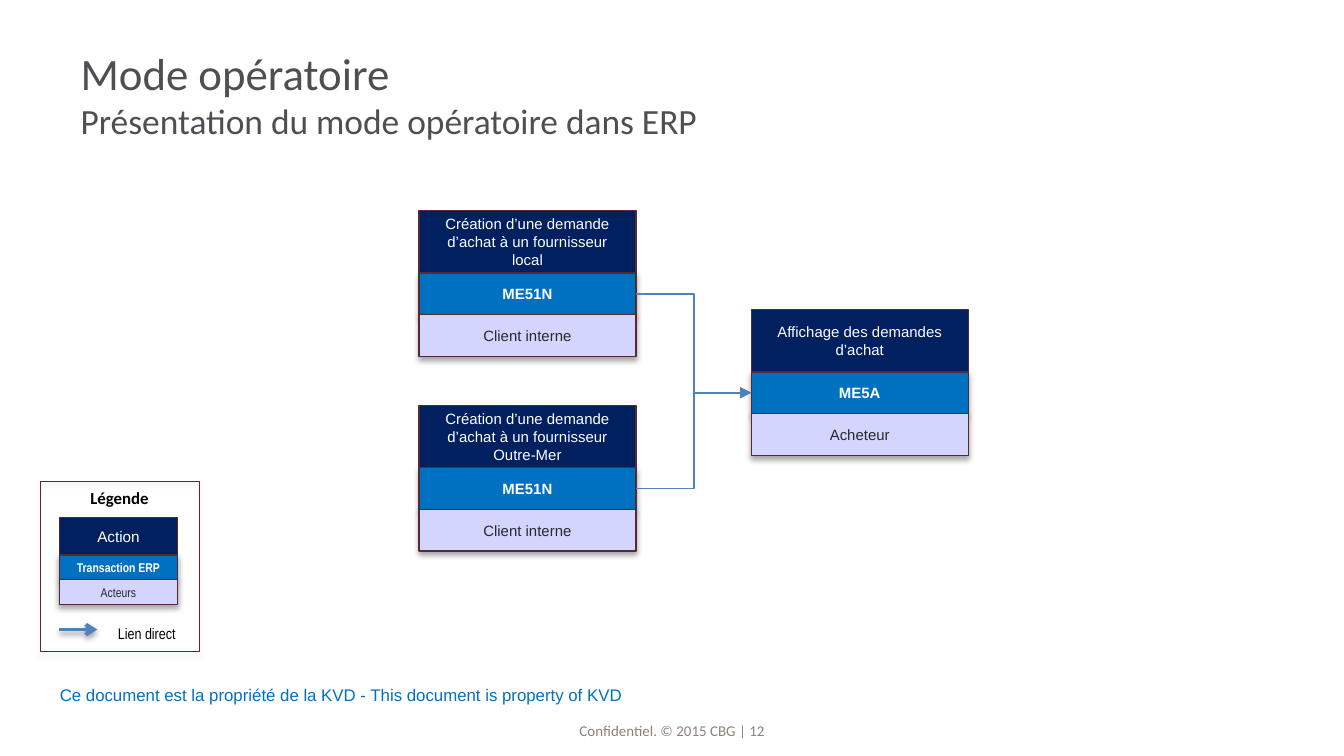
from dataclasses import dataclass

from lxml import etree
from pptx import Presentation
from pptx.dml.color import RGBColor
from pptx.enum.shapes import MSO_CONNECTOR, MSO_SHAPE
from pptx.enum.text import MSO_ANCHOR, PP_ALIGN
from pptx.oxml.ns import qn
from pptx.util import Cm, Pt

RECT = MSO_SHAPE.RECTANGLE
ELBOW, LINE = MSO_CONNECTOR.ELBOW, MSO_CONNECTOR.STRAIGHT
TOP, MID, LOW = MSO_ANCHOR.TOP, MSO_ANCHOR.MIDDLE, MSO_ANCHOR.BOTTOM
LEFT, MIDDLE = PP_ALIGN.LEFT, PP_ALIGN.CENTER
RIGHT_SIDE, LEFT_SIDE = 3, 1

NAVY, BLUE, LILAC = "002060", "0070C0", "D3D5FF"
EDGE, LINK, GREY = "552A37", "4F81BD", "4D4F53"
WHITE, DARK, BLACK = "FFFFFF", "26282A", "000000"


@dataclass
class Font:
    size: float
    color: str
    name: str = "Arial"
    bold: bool = False


@dataclass
class Area:
    x: float
    y: float
    w: float
    h: float

    def cm(self) -> tuple:
        return Cm(self.x), Cm(self.y), Cm(self.w), Cm(self.h)


@dataclass
class Card:
    """Three stacked bars: action, transaction, actor."""
    x: float
    y: float
    texts: tuple
    w: float = 4.1
    heights: tuple = (1.18, 0.79, 0.79)
    sizes: tuple = (8, 8, 8)
    small: str = "Arial"


def paint(code: str) -> RGBColor:
    return RGBColor.from_string(code)


def write(par, text: str, font: Font, align=MIDDLE) -> None:
    par.alignment = align
    run = par.add_run()
    run.text = text
    run.font.size = Pt(font.size)
    run.font.name = font.name
    run.font.bold = font.bold
    run.font.color.rgb = paint(font.color)


def shade(shape, on: bool) -> None:
    """Replace the theme shadow by a soft one below, or by none."""
    props = shape._element.spPr
    effects = etree.SubElement(props, qn("a:effectLst"))
    if on:
        drop = etree.SubElement(effects, qn("a:outerShdw"), blurRad="39370",
                                dist="22860", dir="5400000", rotWithShape="0")
        tint = etree.SubElement(drop, qn("a:srgbClr"), val=BLACK)
        etree.SubElement(tint, qn("a:alpha"), val="35000")


def add_box(slide, area: Area, fill: str = "", width: float = 0.75,
            shadow: bool = True):
    box = slide.shapes.add_shape(RECT, *area.cm())
    if fill:
        box.fill.solid()
        box.fill.fore_color.rgb = paint(fill)
    else:
        box.fill.background()
    box.line.color.rgb = paint(EDGE)
    box.line.width = Pt(width)
    shade(box, shadow)
    return box


def add_text(slide, area: Area, text: str, font: Font, anchor=MID,
             wrap: bool = True, inset: bool = True) -> None:
    frame = slide.shapes.add_textbox(*area.cm()).text_frame
    frame.word_wrap = wrap
    frame.vertical_anchor = anchor
    if not inset:
        frame.margin_left = frame.margin_right = 0
        frame.margin_top = frame.margin_bottom = 0
    write(frame.paragraphs[0], text, font)


def add_card(slide, card: Card):
    """Draw the bars and return the middle one, where links join."""
    fonts = (Font(card.sizes[0], WHITE),
             Font(card.sizes[1], WHITE, card.small, True),
             Font(card.sizes[2], DARK, card.small))
    bars = []
    y = card.y
    for text, high, fill, font in zip(card.texts, card.heights,
                                      (NAVY, BLUE, LILAC), fonts):
        bar = add_box(slide, Area(card.x, y, card.w, high), fill,
                      shadow=bool(bars))
        bar.text_frame.word_wrap = True
        bar.text_frame.vertical_anchor = MID
        write(bar.text_frame.paragraphs[0], text, font)
        bars.append(bar)
        y += high
    return bars[1]


def add_link(slide, kind, ends: tuple, width: float, head: str,
             shadow: bool = False):
    link = slide.shapes.add_connector(kind, *(Cm(n) for n in ends))
    link.line.color.rgb = paint(LINK)
    link.line.width = Pt(width)
    etree.SubElement(link.line._get_or_add_ln(), qn("a:tailEnd"), type=head)
    shade(link, shadow)
    return link


def main() -> None:
    deck = Presentation()
    deck.slide_width, deck.slide_height = Cm(25.4), Cm(14.29)
    slide = deck.slides.add_slide(deck.slide_layouts[5])

    # Footer lines
    add_text(slide, Area(8.64, 13.54, 8.13, 0.43),
             "Confidentiel. © 2015 CBG | 12",
             Font(8, "8D817B", "Calibri"), LOW, inset=False)
    add_text(slide, Area(0.79, 12.83, 11.3, 0.61),
             "Ce document est la propriété de la KVD"
             " - This document is property of KVD", Font(9, BLUE))

    # Title
    title = slide.shapes.title
    title.left, title.top, title.width, title.height = Area(
        1.27, 0.58, 22.86, 2.39).cm()
    title.text_frame.vertical_anchor = MID
    par = title.text_frame.paragraphs[0]
    write(par, "Mode opératoire", Font(24, GREY, "Calibri"), LEFT)
    par.add_line_break()
    write(par, "Présentation du mode opératoire dans ERP",
          Font(19, GREY, "Calibri"), LEFT)

    # Process steps
    create = "Création d’une demande d’achat à un fournisseur "
    local = add_card(slide, Card(
        7.92, 3.98, (create + "local", "ME51N", "Client interne")))
    abroad = add_card(slide, Card(
        7.92, 7.66, (create + "Outre-Mer", "ME51N", "Client interne")))
    show = add_card(slide, Card(
        14.2, 5.85, ("Affichage des demandes d’achat", "ME5A", "Acheteur")))

    # Links between steps
    for start in (local, abroad):
        link = add_link(slide, ELBOW, (0, 0, 1, 1), 1, "triangle")
        link.begin_connect(start, RIGHT_SIDE)
        link.end_connect(show, LEFT_SIDE)

    # Legend
    add_card(slide, Card(
        1.12, 9.78, ("Action", "Transaction ERP", "Acteurs"), 2.24,
        (0.71, 0.47, 0.47), (8.2, 6.8, 6.8), "Arial Narrow"))
    add_link(slide, LINE, (1.12, 11.9, 1.84, 11.9), 2, "arrow", True)
    add_text(slide, Area(1.96, 11.68, 1.63, 0.61), "Lien direct",
             Font(8.2, BLACK, "Arial Narrow"), TOP, wrap=False)
    add_box(slide, Area(0.76, 9.09, 3, 3.23), width=0.25)
    add_text(slide, Area(0.76, 9.09, 3, 0.64), "Légende",
             Font(9, BLACK, "Calibri", True), TOP)

    deck.save("out.pptx")


if __name__ == "__main__":
    main()
